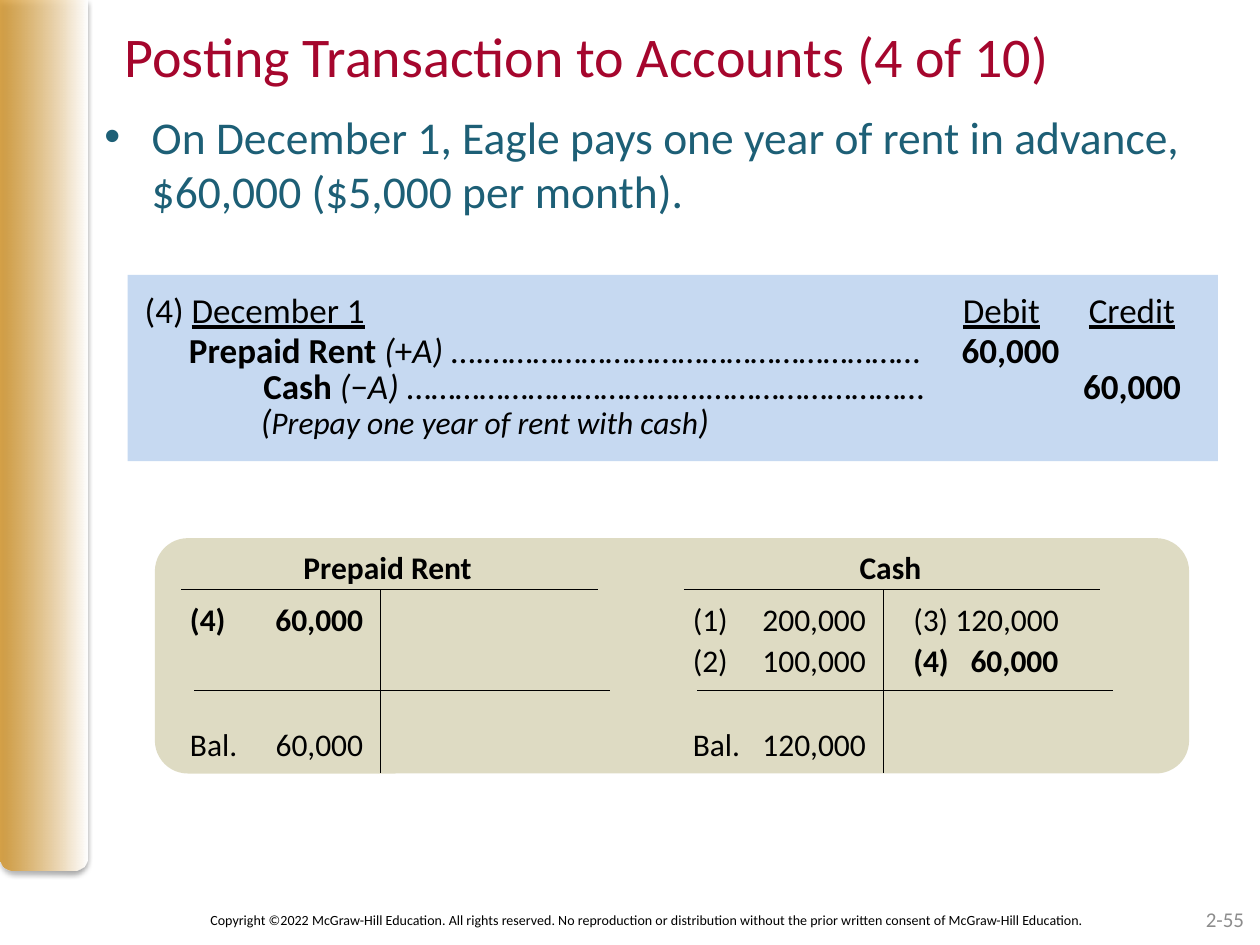
"""Build a slide that posts a prepaid rent transaction to T-accounts."""
from lxml import etree
from pptx import Presentation
from pptx.dml.color import RGBColor
from pptx.enum.shapes import MSO_CONNECTOR, MSO_SHAPE
from pptx.enum.text import MSO_ANCHOR, MSO_AUTO_SIZE, PP_ALIGN
from pptx.oxml.ns import qn
from pptx.util import Pt

LEFT, CENTER, RIGHT = PP_ALIGN.LEFT, PP_ALIGN.CENTER, PP_ALIGN.RIGHT
TOP, MIDDLE = MSO_ANCHOR.TOP, MSO_ANCHOR.MIDDLE
NO_AUTOFIT = MSO_AUTO_SIZE.NONE
STRAIGHT = MSO_CONNECTOR.STRAIGHT
RECTANGLE, ROUNDED = MSO_SHAPE.RECTANGLE, MSO_SHAPE.ROUNDED_RECTANGLE
ROUND_TOP = MSO_SHAPE.ROUND_2_SAME_RECTANGLE

FONT = "Calibri"
COLORS = {
    "title": "A5062D", "body": "1D5F76", "text": "000000", "number": "8C8C8C",
    "journal": "C6D9F1", "ledger": "D4D0B0", "gold": "D49323", "white": "FFFFFF",
}
LEDGER_TABS = [(99, "r"), (126, "l"), (209, "r")]
LINE_HEIGHT = 24


class SlideBuilder:
    """Hold the style and the current slide."""

    def __init__(self, presentation):
        """Add a title and content slide."""
        self.slide = presentation.slides.add_slide(presentation.slide_layouts[1])

    def color(self, name):
        """Return a named colour."""
        return RGBColor.from_string(COLORS[name])

    def style(self, font, size, color="text", marks=""):
        """Apply size, colour and the marks b, i and u to a font."""
        font.name, font.size = FONT, Pt(size)
        font.color.rgb = self.color(color)
        font.bold, font.italic, font.underline = ("b" in marks, "i" in marks, "u" in marks)

    def placeholder(self, index, box, text, size, color):
        """Move, fill and format a template placeholder."""
        shape = self.slide.placeholders[index]
        shape.left, shape.top, shape.width, shape.height = map(Pt, box)
        frame = shape.text_frame
        frame.text = text
        frame.auto_size, frame.vertical_anchor = NO_AUTOFIT, TOP
        paragraph = frame.paragraphs[0]
        paragraph.alignment, paragraph.space_before = LEFT, Pt(0)
        self.style(paragraph.runs[0].font, size, color)

    def text(self, box, rows, size, color="text", align=LEFT, anchor=TOP,
             inset=True, tabs=(), spacing=1.0, last_gap=0):
        """Add a text box whose rows are lists of (text, marks) runs."""
        frame = self.slide.shapes.add_textbox(*map(Pt, box)).text_frame
        frame.word_wrap, frame.vertical_anchor = True, anchor
        if not inset:
            frame.margin_left = frame.margin_right = frame.margin_top = frame.margin_bottom = 0
        for index, row in enumerate(rows):
            paragraph = frame.add_paragraph() if index else frame.paragraphs[0]
            self.tabs(paragraph, tabs)
            paragraph.alignment, paragraph.line_spacing = align, spacing
            for words, marks in row:
                run = paragraph.add_run()
                run.text = words
                self.style(run.font, size, color, marks)
        if last_gap:
            paragraph.space_before = Pt(last_gap)
        return frame

    def tabs(self, paragraph, tabs):
        """Set tab stops from (position, alignment) pairs."""
        if tabs:
            tab_list = etree.SubElement(paragraph._p.get_or_add_pPr(), qn("a:tabLst"))
            for position, align in tabs:
                etree.SubElement(tab_list, qn("a:tab"), pos=str(Pt(position)), algn=align)

    def panel(self, kind, box, color, opacity=100):
        """Add a filled shape without outline."""
        shape = self.slide.shapes.add_shape(kind, *map(Pt, box))
        shape.shadow.inherit = False
        shape.fill.solid()
        shape.fill.fore_color.rgb = self.color(color)
        shape.line.fill.background()
        if opacity < 100:
            self.opacity(shape._element.spPr, opacity)
        return shape

    def opacity(self, parent, percent):
        """Set the opacity of the first colour below an element."""
        color = parent.find(".//" + qn("a:srgbClr"))
        etree.SubElement(color, qn("a:alpha"), val=str(percent * 1000))

    def side_band(self, box):
        """Add the shaded band with a soft shadow."""
        shape = self.panel(ROUND_TOP, box, "gold")
        shape.fill.gradient()
        shape.fill.gradient_angle = 0
        for stop, position, color in zip(shape.fill.gradient_stops, (0, 1), ("gold", "white")):
            stop.position, stop.color.rgb = position, self.color(color)
        properties = shape._element.spPr
        self.opacity(properties, 80)
        properties.find(qn("a:xfrm")).set("flipV", "1")
        shadow = etree.SubElement(
            properties.find(qn("a:effectLst")), qn("a:outerShdw"),
            blurRad=str(Pt(3.1)), dist=str(Pt(1.8)), dir="5400000", rotWithShape="0")
        etree.SubElement(shadow, qn("a:srgbClr"), val=COLORS["text"])
        self.opacity(shadow, 35)

    def line(self, *ends):
        """Add a thin straight line."""
        connector = self.slide.shapes.add_connector(STRAIGHT, *map(Pt, ends))
        connector.line.width = Pt(0.75)
        connector.line.color.rgb = self.color("text")
        etree.SubElement(connector._element.spPr, qn("a:effectLst"))

    def account(self, left, name, rows, last_gap):
        """Add a T-account with its entries and balance."""
        self.text((left, 337, 247, 103), rows, 18, tabs=LEDGER_TABS,
                  spacing=1.1, last_gap=last_gap)
        self.text((left, 309.6, 240, 27), [[(name, "b")]], 18, align=CENTER)
        self.line(left + 2, 337, left + 240, 337)
        self.line(left + 9.5, 394.5, left + 247, 394.5)
        self.line(left + 116, 337, left + 116, 441.5)


def main():
    """Build and save the presentation."""
    presentation = Presentation()
    presentation.slide_width, presentation.slide_height = Pt(720), Pt(540)
    builder = SlideBuilder(presentation)
    builder.side_band((0, 0, 50, 497.5))
    builder.placeholder(0, (64, 8.6, 648, 90),
                        "Posting Transaction to Accounts (4 of 10)", 32, "title")
    builder.placeholder(1, (52.5, 58.5, 655, 70),
                        "On December 1, Eagle pays one year of rent in advance, "
                        "$60,000 ($5,000 per month).", 26, "body")

    builder.panel(RECTANGLE, (73, 157, 623, 106.5), "journal")
    builder.text((75.6, 161.3, 605, 31.5),
                 [[("(4) ", ""), ("December 1", "u"), ("\t", ""), ("Debit", "u"),
                   ("\t", ""), ("Credit", "u")]], 20, tabs=[(467.5, "l"), (539.5, "l")])
    builder.text((108, 187.5, 584, 24.5),
                 [[("Prepaid Rent ", "b"), ("(", "i"), ("+", ""), ("A) ", "i"),
                   ("….………………………………………………\t", ""), ("60,000", "b")]],
                 20, inset=False, tabs=[(441.5, "l")])
    builder.text((150.5, 208.5, 535, 24.5),
                 [[("Cash ", "b"), ("(", "i"), ("−", ""), ("A) ", "i"),
                   ("……………………………….………………………\t", ""), ("60,000", "b")]],
                 20, inset=False, tabs=[(468.5, "l")])
    note = builder.text((142, 224.6, 292, 31.5),
                        [[("(", "i"), ("Prepay one year of rent with cash", "i"), (")", "i")]], 20)
    note.paragraphs[0].runs[1].font.size = Pt(18)

    ledger = builder.panel(ROUNDED, (88.5, 307.5, 591, 134.5), "ledger", 75)
    ledger.adjustments[0] = 0.14
    builder.account(101.5, "Prepaid Rent",
                    [[("(4)\t60,000", "b")], [("Bal.\t60,000", "")]], 2 * LINE_HEIGHT)
    builder.account(388.8, "Cash",
                    [[("(1)\t200,000\t(3) 120,000", "")],
                     [("(2)\t100,000\t", ""), ("(4)\t60,000", "b")],
                     [("Bal.\t120,000", "")]], LINE_HEIGHT)

    builder.text((112.5, 511, 515, 29),
                 [[("Copyright ©2022 McGraw-Hill Education. All rights reserved. No reproduction "
                    "or distribution without the prior written consent of McGraw-Hill Education.",
                    "")]], 8, align=CENTER, anchor=MIDDLE)
    builder.text((550, 510.5, 168, 29), [[("2-55", "")]], 12, "number", RIGHT, MIDDLE)
    presentation.save("out.pptx")


if __name__ == "__main__":
    main()
